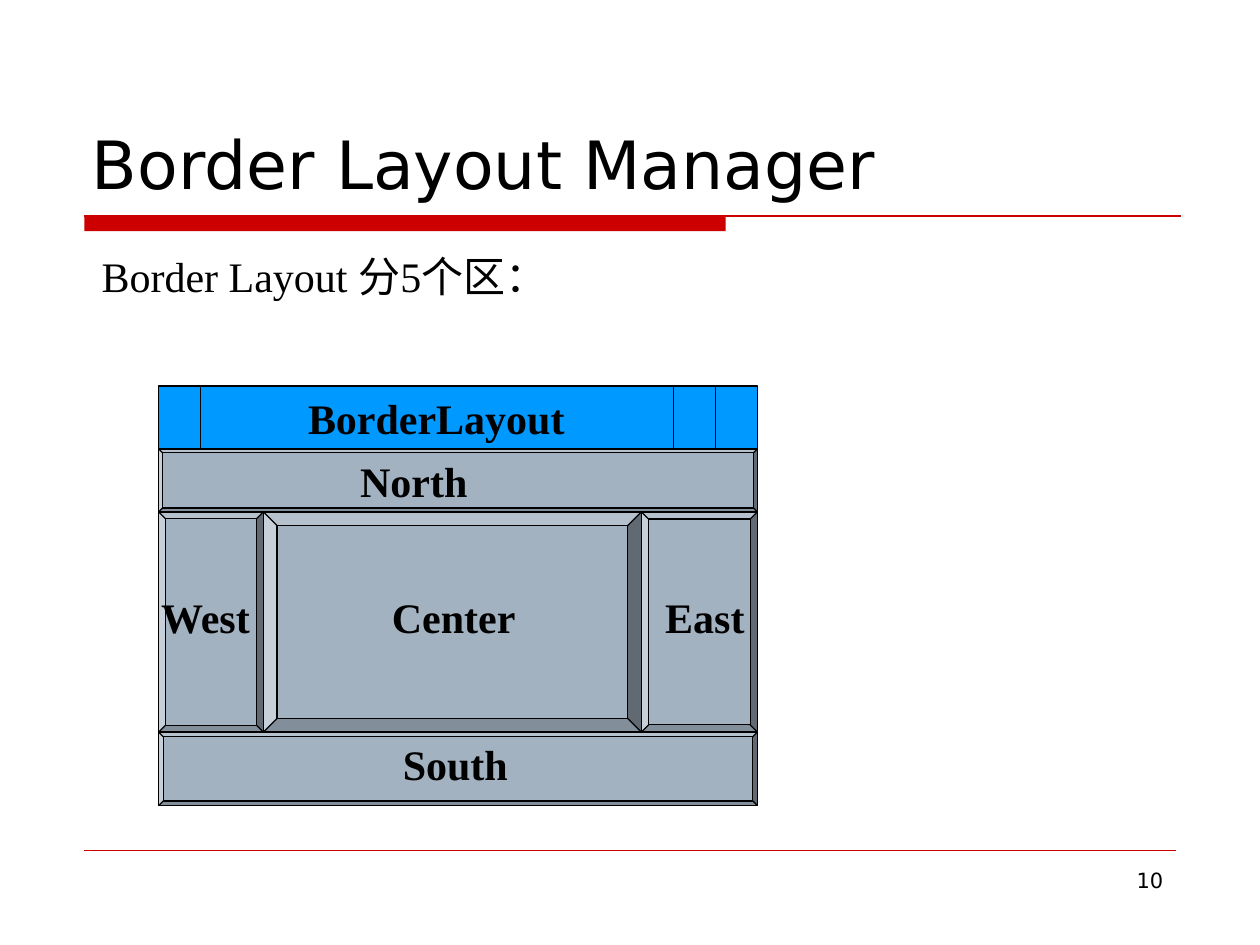
from lxml import etree
from pptx import Presentation
from pptx.dml.color import RGBColor
from pptx.enum import shapes, text
from pptx.oxml.ns import qn
from pptx.util import Cm, Pt

RED, BLUE, STEEL, BLACK = "CC0000", "0099FF", "A3B2C1", "000000"
SERIF = {"name": "Times New Roman", "size": Pt(24), "bold": False}
SERIF_BOLD = {**SERIF, "bold": True}
TITLE = {"name": "DejaVu Sans", "size": Pt(38), "bold": False}
PAGE = {**TITLE, "size": Pt(12)}
SHAPE, ALIGN = shapes.MSO_SHAPE, text.PP_ALIGN

LEFT, WEST_EDGE, EAST_EDGE, RIGHT = 3.2, 5.31, 12.93, 15.27
TOP, NORTH_TOP, MIDDLE_TOP, SOUTH_TOP, BOTTOM = 7.78, 9.05, 10.32, 14.76, 16.24
BUTTON_EDGES = (4.04, 14.42, 13.57)
LABEL_HEIGHT = 1.27


def rgb(value):
    """Turn a hex string into a colour."""
    return RGBColor.from_string(value)


def set_values(target, values):
    """Set each named value on the target."""
    for name, value in values.items():
        setattr(target, name, value)


def write(frame, words, font, align=ALIGN.LEFT, **frame_format):
    """Fill a text frame with one formatted paragraph."""
    set_values(frame, frame_format)
    paragraph = frame.paragraphs[0]
    paragraph.alignment = align
    run = paragraph.add_run()
    run.text = words
    set_values(run.font, font)
    run.font.color.rgb = rgb(BLACK)


def add_label(parent, words, left, top, width, font):
    """Add a one-line label that fits its text."""
    label = parent.add_textbox(Cm(left), Cm(top), Cm(width), Cm(LABEL_HEIGHT))
    write(label.text_frame, words, font, word_wrap=False,
          auto_size=text.MSO_AUTO_SIZE.SHAPE_TO_FIT_TEXT)


def add_panel(parent, kind, edges, fill, line=BLACK):
    """Add a filled shape between left, top, right and bottom edges."""
    left, top, right, bottom = edges
    panel = parent.add_shape(kind, Cm(left), Cm(top), Cm(right - left), Cm(bottom - top))
    panel.shadow.inherit = False
    panel.fill.solid()
    panel.fill.fore_color.rgb = rgb(fill)
    if line:
        panel.line.color.rgb = rgb(line)
        panel.line.width = Pt(0.75)
    else:
        panel.line.fill.background()
    return panel


def add_rule(parent, start, end, color=BLACK, width=0.75):
    """Add a straight line without a shadow."""
    points = [Cm(value) for value in (*start, *end)]
    rule = parent.add_connector(shapes.MSO_CONNECTOR.STRAIGHT, *points)
    rule.line.color.rgb = rgb(color)
    rule.line.width = Pt(width)
    etree.SubElement(rule._element.spPr, qn("a:effectLst"))


def add_region(parent, edges, name, left, top, width):
    """Add one bevelled layout region with its label."""
    region = add_panel(parent, SHAPE.BEVEL, edges, STEEL)
    region.adjustments[0] = 0.0625
    add_label(parent, name, left, top, width, SERIF_BOLD)


def add_window(slide):
    """Draw the window with its title bar and five regions."""
    window = slide.shapes.add_group_shape().shapes
    add_panel(window, SHAPE.RECTANGLE, (LEFT, TOP, RIGHT, BOTTOM), BLUE)
    add_rule(window, (LEFT, NORTH_TOP), (RIGHT, NORTH_TOP))
    for x in BUTTON_EDGES:
        add_rule(window, (x, TOP), (x, NORTH_TOP))

    middle_label = 11.79
    regions = (
        ((LEFT, NORTH_TOP, RIGHT, MIDDLE_TOP), "North", 7.01, NORTH_TOP, 2.7),
        ((LEFT, SOUTH_TOP, RIGHT, BOTTOM), "South", 7.87, SOUTH_TOP, 2.65),
        ((LEFT, MIDDLE_TOP, WEST_EDGE, SOUTH_TOP), "West", 3, middle_label, 2.34),
        ((EAST_EDGE, MIDDLE_TOP, RIGHT, SOUTH_TOP), "East", 13.16, middle_label, 2.11),
        ((WEST_EDGE, MIDDLE_TOP, EAST_EDGE, SOUTH_TOP), "Center", 7.65, middle_label, 3),
    )
    for region in regions:
        add_region(window, *region)
    add_label(window, "BorderLayout", 5.96, TOP, 5.8, SERIF_BOLD)


def add_frame(slide):
    """Draw the red bar and rules around the content."""
    add_panel(slide.shapes, SHAPE.RECTANGLE, (1.7, 4.35, 14.63, 4.66), RED, line=None)
    add_rule(slide.shapes, (1.7, 4.35), (23.8, 4.35), RED, 1)
    add_rule(slide.shapes, (1.7, 17.14), (23.7, 17.14), RED, 0.25)


def add_title(slide, words):
    """Place and format the title."""
    title = slide.shapes.title
    set_values(title, {"left": Cm(1.6), "top": Cm(0.84),
                       "width": Cm(22.23), "height": Cm(3.38)})
    write(title.text_frame, words, TITLE, word_wrap=True,
          auto_size=text.MSO_AUTO_SIZE.NONE,
          vertical_anchor=text.MSO_ANCHOR.BOTTOM)


def add_page_number(slide, number):
    """Add the page number at the lower right."""
    box = slide.shapes.add_textbox(Cm(18.2), Cm(17.36), Cm(5.5), Cm(1.32))
    write(box.text_frame, number, PAGE, ALIGN.RIGHT, word_wrap=True)


def main():
    """Build and save the slide."""
    deck = Presentation()
    set_values(deck, {"slide_width": Cm(25.4), "slide_height": Cm(19.05)})
    slide = deck.slides.add_slide(deck.slide_layouts[5])
    add_frame(slide)
    add_title(slide, "Border Layout Manager")
    add_label(slide.shapes, "Border Layout 分5个区：", 1.8, 4.93, 10.08, SERIF)
    add_window(slide)
    add_page_number(slide, "10")
    deck.save("out.pptx")


if __name__ == "__main__":
    main()
